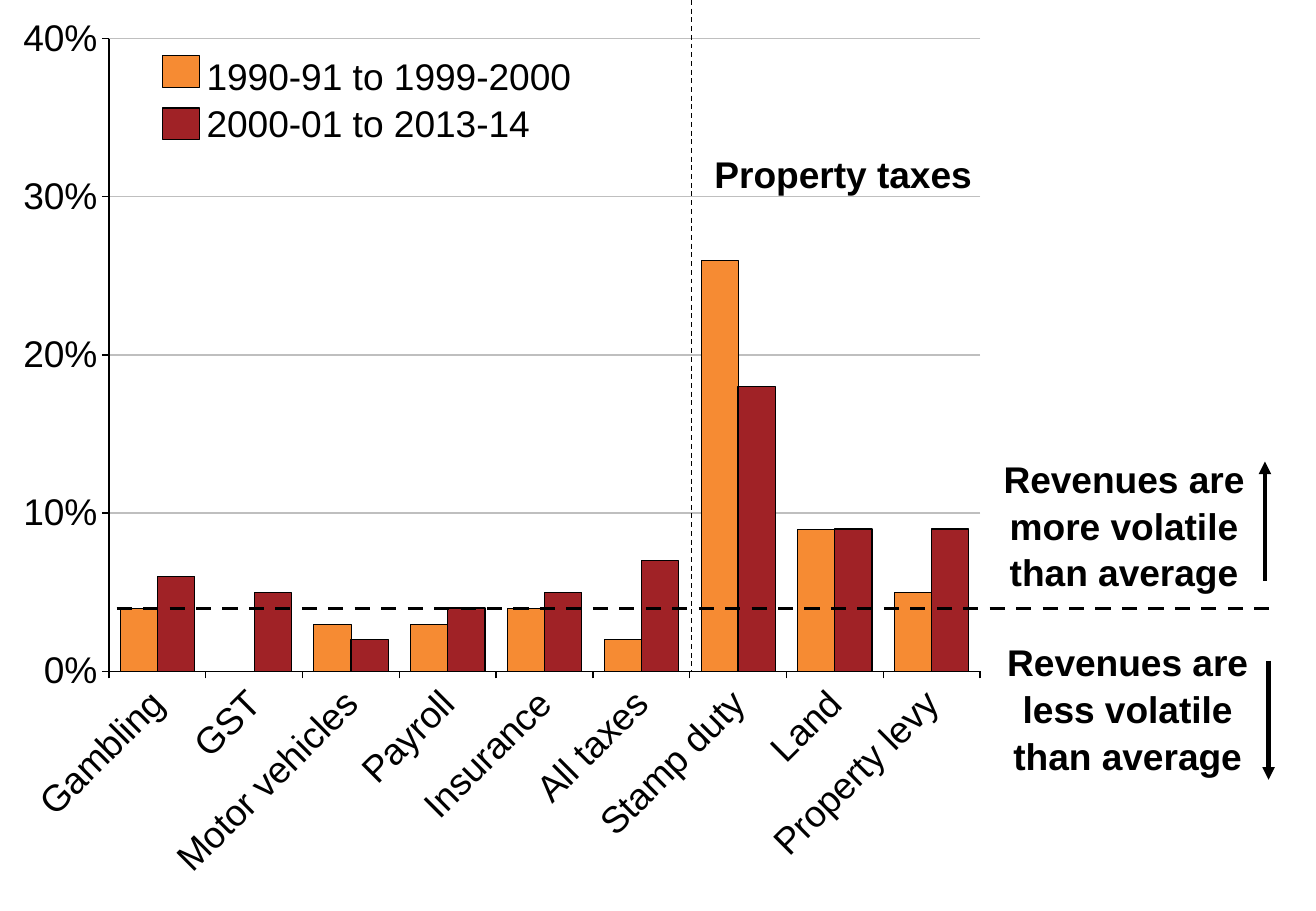
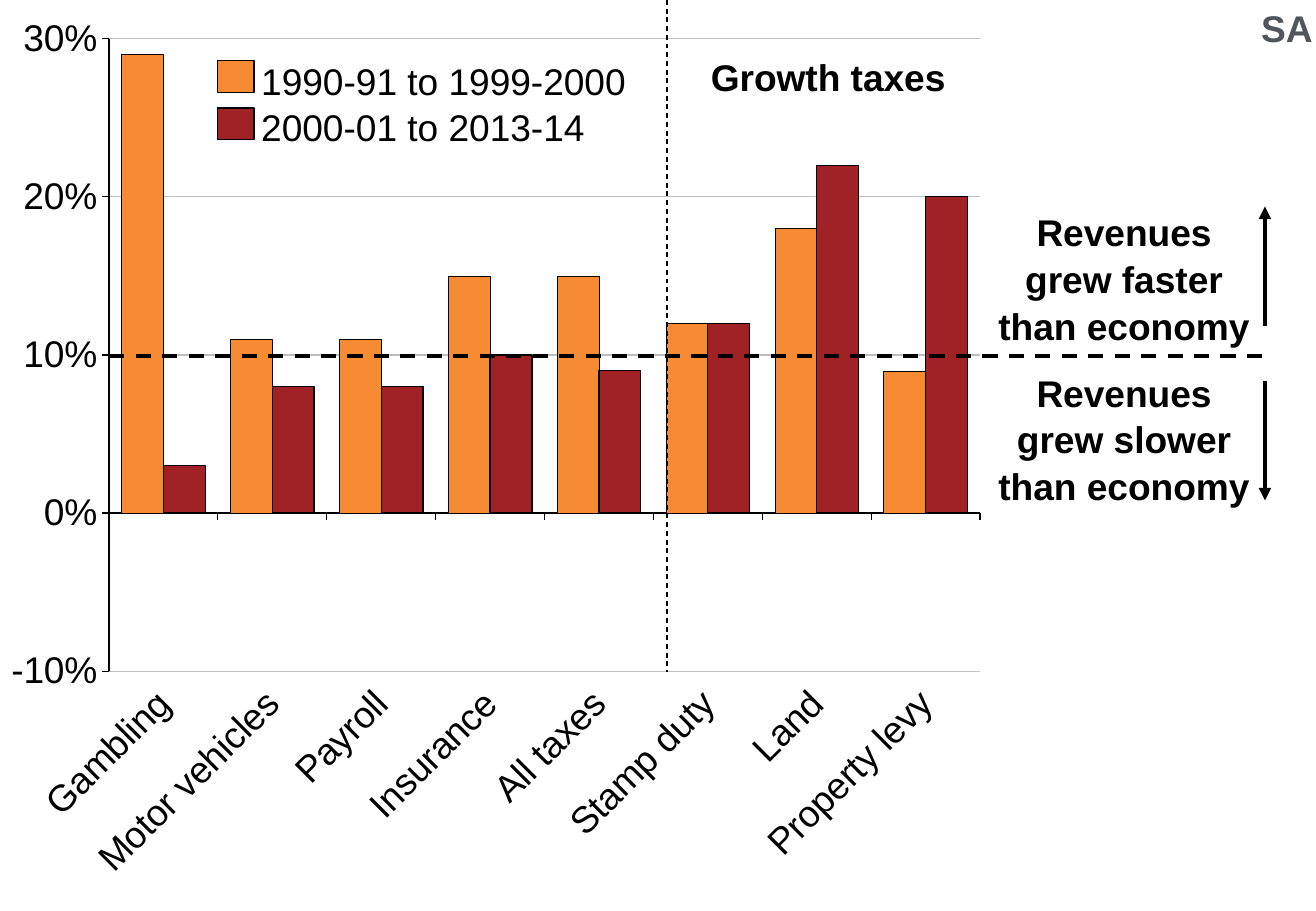
from dataclasses import dataclass

from lxml import etree
from pptx import Presentation
from pptx.chart.data import CategoryChartData
from pptx.dml.color import RGBColor
from pptx.enum.chart import XL_CHART_TYPE, XL_TICK_LABEL_POSITION, XL_TICK_MARK
from pptx.enum.dml import MSO_LINE
from pptx.enum.shapes import MSO_CONNECTOR, MSO_SHAPE
from pptx.enum.text import MSO_AUTO_SIZE, PP_ALIGN
from pptx.oxml.ns import qn
from pptx.util import Inches, Pt


@dataclass(frozen=True)
class Theme:
    font: str = "Arial"
    text_size: float = 22
    line_spacing: float = 1.05
    black: str = "000000"
    grey: str = "50565C"
    grid: str = "BFBFBF"
    series: tuple = ("F68B33", "A02226")
    outlines: tuple = (0.25, 0.75)
    thin: float = 0.75
    average: float = 2.25
    arrow: float = 2.5


@dataclass(frozen=True)
class Box:
    left: float
    top: float
    width: float
    height: float

    def inches(self):
        return [Inches(v) for v in (self.left, self.top, self.width, self.height)]


THEME = Theme()
PERIODS = ("1990-91 to 1999-2000", "2000-01 to 2013-14")
CHART_BOX = Box(0.03, 0, 10.83, 7.41)
PLOT = {"x": 0.08, "y": 0.043, "w": 0.662, "h": 0.703}


def rgb(value):
    return RGBColor.from_string(value)


def style_font(font, bold=False, color=THEME.black):
    font.name, font.size, font.bold = THEME.font, Pt(THEME.text_size), bold
    font.color.rgb = rgb(color)


def style_line(line, width, color=THEME.black):
    line.color.rgb = rgb(color)
    line.width = Pt(width)


def add_line(slide, start, end, width, dashed=False, arrow=False):
    connector = slide.shapes.add_connector(
        MSO_CONNECTOR.STRAIGHT, *(Inches(v) for v in (*start, *end)))
    style_line(connector.line, width)
    if dashed:
        connector.line.dash_style = MSO_LINE.DASH
    properties = connector.element.spPr
    if arrow:
        outline = properties.find(qn("a:ln"))
        etree.SubElement(outline, qn("a:tailEnd"), type="triangle")
    etree.SubElement(properties, qn("a:effectLst"))


def add_text(slide, box, lines, align=PP_ALIGN.LEFT, bold=True,
             color=THEME.black, inset=True):
    frame = slide.shapes.add_textbox(*box.inches()).text_frame
    frame.word_wrap = True
    frame.auto_size = MSO_AUTO_SIZE.SHAPE_TO_FIT_TEXT
    if not inset:
        frame.margin_left = frame.margin_right = 0
        frame.margin_top = frame.margin_bottom = 0
    frame.text = "\n".join(lines)
    for paragraph in frame.paragraphs:
        paragraph.alignment = align
        paragraph.line_spacing = THEME.line_spacing
        style_font(paragraph.font, bold, color)


def set_plot_area(chart):
    """Fix the inner plot area as fractions of the chart."""
    plot_area = chart.element.find(".//" + qn("c:plotArea"))
    for layout in plot_area.findall(qn("c:layout")):
        plot_area.remove(layout)
    layout = etree.Element(qn("c:layout"))
    manual = etree.SubElement(layout, qn("c:manualLayout"))
    settings = {"layoutTarget": "inner", "xMode": "edge", "yMode": "edge", **PLOT}
    for name, value in settings.items():
        etree.SubElement(manual, qn("c:" + name), val=str(value))
    plot_area.insert(0, layout)


def add_tax_chart(slide, box, categories, values, low, high):
    data = CategoryChartData(number_format="0%")
    data.categories = categories
    for period, period_values in zip(PERIODS, values):
        data.add_series(period, period_values)
    chart = slide.shapes.add_chart(
        XL_CHART_TYPE.COLUMN_CLUSTERED, *box.inches(), data).chart
    chart.has_legend = chart.has_title = False
    style_font(chart.font)
    set_plot_area(chart)

    # Columns
    plot = chart.plots[0]
    plot.gap_width, plot.vary_by_categories = 60, False
    for series, color, outline in zip(plot.series, THEME.series, THEME.outlines):
        series.invert_if_negative = False
        series.format.fill.solid()
        series.format.fill.fore_color.rgb = rgb(color)
        style_line(series.format.line, outline)

    # Axes
    category_axis, value_axis = chart.category_axis, chart.value_axis
    for axis in (category_axis, value_axis):
        axis.major_tick_mark = XL_TICK_MARK.OUTSIDE
        axis.minor_tick_mark = XL_TICK_MARK.NONE
        style_font(axis.tick_labels.font)
        style_line(axis.format.line, THEME.thin)
    category_axis.tick_label_position = XL_TICK_LABEL_POSITION.LOW
    label_body = chart.element.find(f".//{qn('c:catAx')}/{qn('c:txPr')}/{qn('a:bodyPr')}")
    label_body.set("rot", "-2700000")
    label_body.set("vert", "horz")
    value_axis.minimum_scale, value_axis.maximum_scale = low, high
    value_axis.major_unit = 0.1
    value_axis.tick_labels.number_format = "0%"
    value_axis.tick_labels.number_format_is_linked = False
    value_axis.has_major_gridlines = True
    style_line(value_axis.major_gridlines.format.line, THEME.thin, THEME.grid)


def add_legend(slide, box, swatch_pitch):
    add_text(slide, box, PERIODS, bold=False, inset=False)
    for index, color in enumerate(THEME.series):
        swatch_box = Box(box.left - 0.36, box.top + 0.04 + index * swatch_pitch, 0.3, 0.26)
        swatch = slide.shapes.add_shape(MSO_SHAPE.RECTANGLE, *swatch_box.inches())
        swatch.shadow.inherit = False
        swatch.fill.solid()
        swatch.fill.fore_color.rgb = rgb(color)
        style_line(swatch.line, THEME.thin)


def add_note(slide, box, text, arrow_offset, upward):
    """Centred remark with an arrow along its right edge."""
    add_text(slide, box, [text], PP_ALIGN.CENTER)
    x, top = box.left + box.width, box.top + arrow_offset
    ends = [(x, top), (x, top + 0.98)]
    start, end = reversed(ends) if upward else ends
    add_line(slide, start, end, THEME.arrow, arrow=True)


def add_average_line(slide, left, y):
    add_line(slide, (left, y), (left + 9.56, y), THEME.average, dashed=True)


def add_group_heading(slide, divider_x, box, text):
    """Divider before the last taxes and the heading over them."""
    add_line(slide, (divider_x, 0), (divider_x, 5.53), THEME.thin, dashed=True)
    add_text(slide, box, [text], inset=False)


def build_volatility_slide(slide):
    add_tax_chart(
        slide, CHART_BOX,
        ["Gambling", "GST", "Motor vehicles", "Payroll", "Insurance", "All taxes",
         "Stamp duty", "Land", "Property levy"],
        [[0.04, None, 0.03, 0.03, 0.04, 0.02, 0.26, 0.09, 0.05],
         [0.06, 0.05, 0.02, 0.04, 0.05, 0.07, 0.18, 0.09, 0.09]],
        low=0, high=0.4)
    add_average_line(slide, 0.96, 5.01)
    add_group_heading(slide, 5.69, Box(5.88, 1.23, 2.23, 0.37), "Property taxes")
    add_note(slide, Box(8.09, 3.69, 2.32, 1.21),
             "Revenues are more volatile than average", 0.11, upward=True)
    add_note(slide, Box(8.12, 5.2, 2.32, 1.21),
             "Revenues are less volatile than average", 0.24, upward=False)
    add_legend(slide, Box(1.7, 0.42, 3.7, 0.74), swatch_pitch=0.43)


def build_growth_slide(slide):
    add_tax_chart(
        slide, CHART_BOX,
        ["Gambling", "Motor vehicles", "Payroll", "Insurance", "All taxes",
         "Stamp duty", "Land", "Property levy"],
        [[0.29, 0.11, 0.11, 0.15, 0.15, 0.12, 0.18, 0.09],
         [0.03, 0.08, 0.08, 0.1, 0.09, 0.12, 0.22, 0.2]],
        low=-0.1, high=0.3)
    add_average_line(slide, 0.9, 2.93)
    add_group_heading(slide, 5.49, Box(5.85, 0.43, 2.23, 0.37), "Growth taxes")
    add_note(slide, Box(8.09, 1.66, 2.32, 1.21),
             "Revenues grew faster than economy", 0.04, upward=True)
    add_note(slide, Box(8.09, 2.98, 2.32, 1.21),
             "Revenues grew slower than economy", 0.16, upward=False)
    add_legend(slide, Box(2.15, 0.46, 3.7, 0.74), swatch_pitch=0.39)
    # State label
    add_text(slide, Box(9.46, -0.02, 1.44, 0.47), ["SA"], PP_ALIGN.RIGHT, color=THEME.grey)


def main():
    presentation = Presentation()
    presentation.slide_width, presentation.slide_height = Inches(10.83), Inches(7.5)
    blank_layout = presentation.slide_layouts[6]
    for build in (build_volatility_slide, build_growth_slide):
        build(presentation.slides.add_slide(blank_layout))
    presentation.save("out.pptx")


if __name__ == "__main__":
    main()
